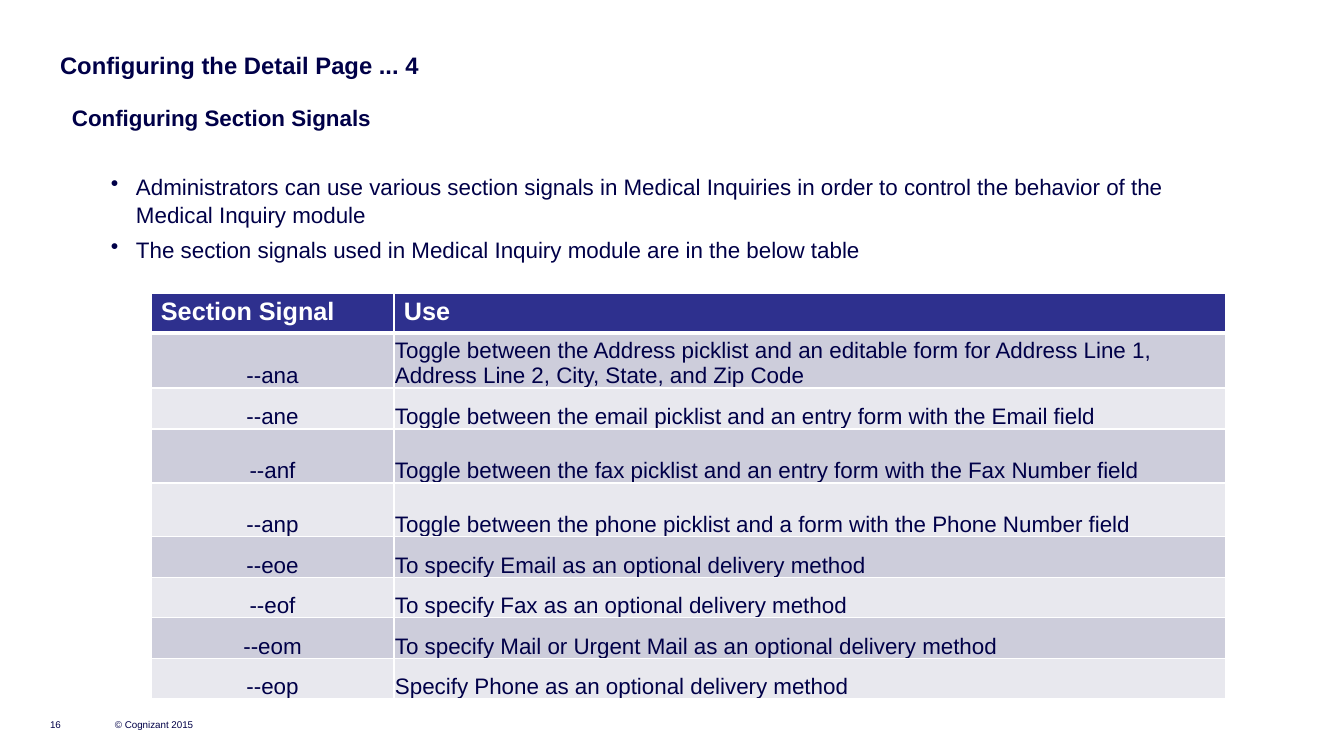
from lxml import etree
from pptx import Presentation, util as u
from pptx.dml.color import RGBColor
from pptx.enum import text
from pptx.oxml.ns import qn

PX = 914400 / 100.8
NAVY, HEADER_BLUE, WHITE = "000048", "2E308E", "FFFFFF"
BANDS = ("CDCDDB", "E8E8EE")
LEFT, CENTER = text.PP_ALIGN.LEFT, text.PP_ALIGN.CENTER
TOP, MIDDLE, BOTTOM = (text.MSO_ANCHOR.TOP, text.MSO_ANCHOR.MIDDLE,
                       text.MSO_ANCHOR.BOTTOM)

BULLETS = [
    "Administrators can use various section signals in Medical Inquiries "
    "in order to control the behavior of the Medical Inquiry module",
    "The section signals used in Medical Inquiry module are in the below table",
]
# Signal, use, row height
SIGNALS = [
    ("--ana", "Toggle between the Address picklist and an editable form for "
     "Address Line 1, Address Line 2, City, State, and Zip Code", 54),
    ("--ane", "Toggle between the email picklist and an entry form with the Email field", 41),
    ("--anf", "Toggle between the fax picklist and an entry form with the Fax Number field", 54),
    ("--anp", "Toggle between the phone picklist and a form with the Phone Number field", 54),
    ("--eoe", "To specify Email as an optional delivery method", 41),
    ("--eof", "To specify Fax as an optional delivery method", 40),
    ("--eom", "To specify Mail or Urgent Mail as an optional delivery method", 41),
    ("--eop", "Specify Phone as an optional delivery method", 40),
]


def px(length):
    return u.Emu(round(length * PX))


def color(value):
    return RGBColor.from_string(value)


def add_run(paragraph, words, size, ink=NAVY, bold=False):
    run = paragraph.add_run()
    run.text = words
    font = run.font
    font.name, font.size, font.bold = "Arial", u.Pt(size), bold
    font.color.rgb = color(ink)


def set_margins(holder, left, top, right, bottom):
    holder.margin_left, holder.margin_top = px(left), px(top)
    holder.margin_right, holder.margin_bottom = px(right), px(bottom)


def add_frame(slide, left, top, width, height, anchor=TOP, inset=0):
    frame = slide.shapes.add_textbox(px(left), px(top), px(width), px(height)).text_frame
    frame.word_wrap = True
    frame.vertical_anchor = anchor
    set_margins(frame, inset, 0, inset, 0)
    return frame


def add_bullet(frame, words, space_before):
    paragraph = frame.add_paragraph()
    properties = paragraph._p.get_or_add_pPr()
    properties.set("marL", str(px(64)))
    properties.set("indent", str(px(-25)))
    etree.SubElement(properties, qn("a:buChar"), char="•")
    paragraph.space_before = u.Pt(space_before)
    paragraph.line_spacing = 1.05
    add_run(paragraph, words, 16)


def set_borders(cell, bottom_width):
    properties = cell._tc.get_or_add_tcPr()
    sides = {"L": 1, "R": 1, "T": 1, "B": bottom_width}
    for position, (side, width) in enumerate(sides.items()):
        line = etree.Element(qn(f"a:ln{side}"), w=str(u.Pt(width)))
        fill = etree.SubElement(line, qn("a:solidFill"))
        etree.SubElement(fill, qn("a:srgbClr"), val=WHITE)
        properties.insert(position, line)


def fill_cell(cell, words, fill, header=False, align=LEFT):
    cell.fill.solid()
    cell.fill.fore_color.rgb = color(fill)
    set_borders(cell, 3 if header else 1)
    paragraph = cell.text_frame.paragraphs[0]
    paragraph.alignment = align
    if header:
        set_margins(cell, 10, 5, 10, 5)
        add_run(paragraph, words, 18, WHITE, True)
    else:
        cell.vertical_anchor = BOTTOM
        set_margins(cell, 1, 1, 1, 0)
        add_run(paragraph, words, 16)


def add_signal_table(slide):
    heights = [40] + [height for _, _, height in SIGNALS]
    widths = (243, 832)
    table = slide.shapes.add_table(len(heights), len(widths), px(151), px(293),
                                   px(sum(widths)), px(sum(heights))).table
    for column, width in zip(table.columns, widths):
        column.width = px(width)
    for row, height in zip(table.rows, heights):
        row.height = px(height)
    for column, heading in enumerate(("Section Signal", "Use")):
        fill_cell(table.cell(0, column), heading, HEADER_BLUE, header=True)
    for row, (signal, use, _) in enumerate(SIGNALS, 1):
        band = BANDS[(row - 1) % 2]
        fill_cell(table.cell(row, 0), signal, band, align=CENTER)
        fill_cell(table.cell(row, 1), use, band)


def main():
    deck = Presentation()
    deck.slide_width, deck.slide_height = px(1344), px(756)
    slide = deck.slides.add_slide(deck.slide_layouts[6])

    # Footer
    for left, width, words in ((115, 132, "© Cognizant 2015"), (50, 39, "16")):
        footer = add_frame(slide, left, 690, width, 40, BOTTOM)
        add_run(footer.paragraphs[0], words, 7)

    # Title
    title = add_frame(slide, 50, 44, 1191, 41, MIDDLE, inset=10)
    add_run(title.paragraphs[0], "Configuring the Detail Page ... 4", 17, bold=True)

    # Subheading and bullets
    body = add_frame(slide, 72, 104, 1121, 160)
    add_run(body.paragraphs[0], "Configuring Section Signals", 16, bold=True)
    for words, space_before in zip(BULLETS, (29, 5)):
        add_bullet(body, words, space_before)

    # Section signals
    add_signal_table(slide)

    deck.save("out.pptx")


if __name__ == "__main__":
    main()
